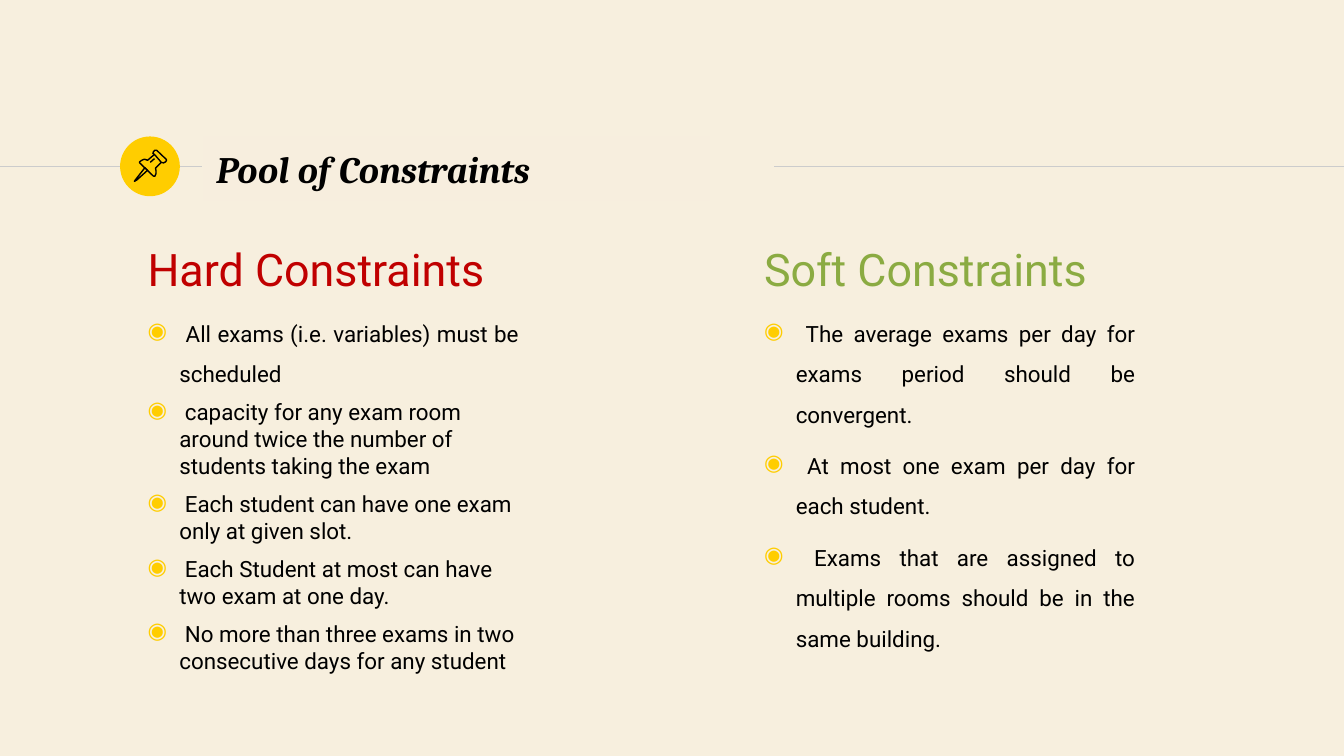
from dataclasses import dataclass

import lxml.etree
import pptx
import pptx.dml.color
import pptx.enum.shapes
import pptx.enum.text
import pptx.oxml.ns
import pptx.util
from pptx.util import Cm, Pt

RGBColor = pptx.dml.color.RGBColor
CREAM = RGBColor(0xF7, 0xEF, 0xDE)
TITLE_FILL = RGBColor(0xF7, 0xEE, 0xDE)
YELLOW = RGBColor(0xFF, 0xCD, 0x00)
GREY = RGBColor(0xCC, 0xCC, 0xCC)
BLACK = RGBColor(0x00, 0x00, 0x00)
RED = RGBColor(0xC0, 0x00, 0x00)
GREEN = RGBColor(0x8B, 0xAB, 0x42)

RULE_TOP = Cm(3.15)
INSET = Cm(0.25)
BULLET_INDENT = Cm(0.6)
LOOSE = 1.5


@dataclass
class Item:
    text: str
    loose: bool = True  # justified, with wide line spacing


@dataclass
class Column:
    left: float
    height: float
    heading: str
    color: RGBColor
    items: list[Item]


@dataclass
class Stroke:
    points: list[tuple[int, int]]  # hundredths of a centimetre
    closed: bool = False


COLUMNS = [
    Column(2.54, 10.19, "Hard Constraints", RED, [
        Item(" All exams (i.e. variables) must be scheduled "),
        Item(" capacity for any exam room around twice the number of students taking the exam", False),
        Item(" Each student can have one exam only at given slot.", False),
        Item(" Each Student at most can have two exam at one day.", False),
        Item(" No more than three exams in two consecutive days for any student", False),
    ]),
    Column(14.19, 8.64, "Soft Constraints", GREEN, [
        Item(" The average exams per day for exams period should be convergent. "),
        Item(" At most one exam per day for each student."),
        Item(" Exams that are assigned to multiple rooms should be in the same building."),
    ]),
]

PIN = [
    Stroke([(274, 317), (256, 340), (254, 343), (259, 340), (279, 322)], True),
    Stroke([(292, 292), (305, 307), (309, 308), (313, 306), (315, 303), (314, 301),
            (296, 284), (293, 284), (290, 287), (289, 290)], True),
    Stroke([(292, 292), (279, 303), (273, 301), (268, 303), (264, 306), (264, 308),
            (290, 333), (293, 333), (295, 328), (295, 323), (294, 318), (305, 307)]),
    Stroke([(284, 307), (292, 300)]),
]


def add_rule(page, start: float, end: float) -> None:
    rule = page.shapes.add_connector(
        pptx.enum.shapes.MSO_CONNECTOR.STRAIGHT, Cm(start), RULE_TOP, Cm(end), RULE_TOP)
    rule.line.color.rgb = GREY
    rule.line.width = Pt(0.75)
    properties = rule._element.spPr
    lxml.etree.SubElement(properties, pptx.oxml.ns.qn("a:effectLst"))


def add_disc(page) -> None:
    disc = page.shapes.add_shape(
        pptx.enum.shapes.MSO_SHAPE.OVAL, Cm(2.27), Cm(2.58), Cm(1.13), Cm(1.13))
    disc.shadow.inherit = False
    disc.fill.solid()
    disc.fill.fore_color.rgb = YELLOW
    disc.line.fill.background()


def add_stroke(page, stroke: Stroke) -> None:
    builder = page.shapes.build_freeform(*stroke.points[0], scale=Cm(1) / 100)
    builder.add_line_segments(stroke.points[1:], close=stroke.closed)
    outline = builder.convert_to_shape()
    outline.shadow.inherit = False
    outline.fill.background()
    outline.line.color.rgb = BLACK
    outline.line.width = Pt(0.75)


def add_box(page, left: float, top: float, width: float, height: float):
    box = page.shapes.add_textbox(Cm(left), Cm(top), Cm(width), Cm(height))
    frame = box.text_frame
    frame.word_wrap = True
    frame.margin_left = frame.margin_right = INSET
    frame.margin_top = frame.margin_bottom = INSET
    return box


def set_font(paragraph, name: str, size: float, color: RGBColor) -> None:
    paragraph.font.name = name
    paragraph.font.size = Pt(size)
    paragraph.font.color.rgb = color


def add_bullet(paragraph) -> None:
    properties = paragraph._p.get_or_add_pPr()
    properties.set("marL", str(BULLET_INDENT))
    properties.set("indent", str(-BULLET_INDENT))
    qn = pptx.oxml.ns.qn
    color = lxml.etree.SubElement(properties, qn("a:buClr"))
    lxml.etree.SubElement(color, qn("a:srgbClr"), val=str(YELLOW))
    lxml.etree.SubElement(properties, qn("a:buChar"), char="◉")


def add_title(page) -> None:
    box = add_box(page, 3.84, 2.58, 9.58, 1.22)
    box.fill.solid()
    box.fill.fore_color.rgb = TITLE_FILL
    box.text_frame.vertical_anchor = pptx.enum.text.MSO_ANCHOR.MIDDLE
    paragraph = box.text_frame.paragraphs[0]
    paragraph.text = "Pool of Constraints"
    set_font(paragraph, "Cambria", 20, BLACK)
    paragraph.font.bold = paragraph.font.italic = True


def add_column(page, column: Column) -> None:
    frame = add_box(page, column.left, 3.81, 7.52, column.height).text_frame
    heading = frame.paragraphs[0]
    heading.text = column.heading
    heading.line_spacing = LOOSE
    heading.space_before = Pt(6)
    set_font(heading, "Roboto", 24, column.color)
    for item in column.items:
        paragraph = frame.add_paragraph()
        paragraph.text = item.text
        paragraph.space_before = Pt(6)
        if item.loose:
            paragraph.line_spacing = LOOSE
            paragraph.alignment = pptx.enum.text.PP_ALIGN.JUSTIFY
        add_bullet(paragraph)
        set_font(paragraph, "Roboto", 12, BLACK)


def main() -> None:
    deck = pptx.Presentation()
    deck.slide_width, deck.slide_height = Cm(25.4), Cm(14.29)
    page = deck.slides.add_slide(deck.slide_layouts[6])
    page.background.fill.solid()
    page.background.fill.fore_color.rgb = CREAM
    add_rule(page, 0, 3.81)
    add_disc(page)
    add_rule(page, 14.63, 25.4)
    add_title(page)
    for stroke in PIN:
        add_stroke(page, stroke)
    for column in COLUMNS:
        add_column(page, column)
    deck.save("out.pptx")


if __name__ == "__main__":
    main()
